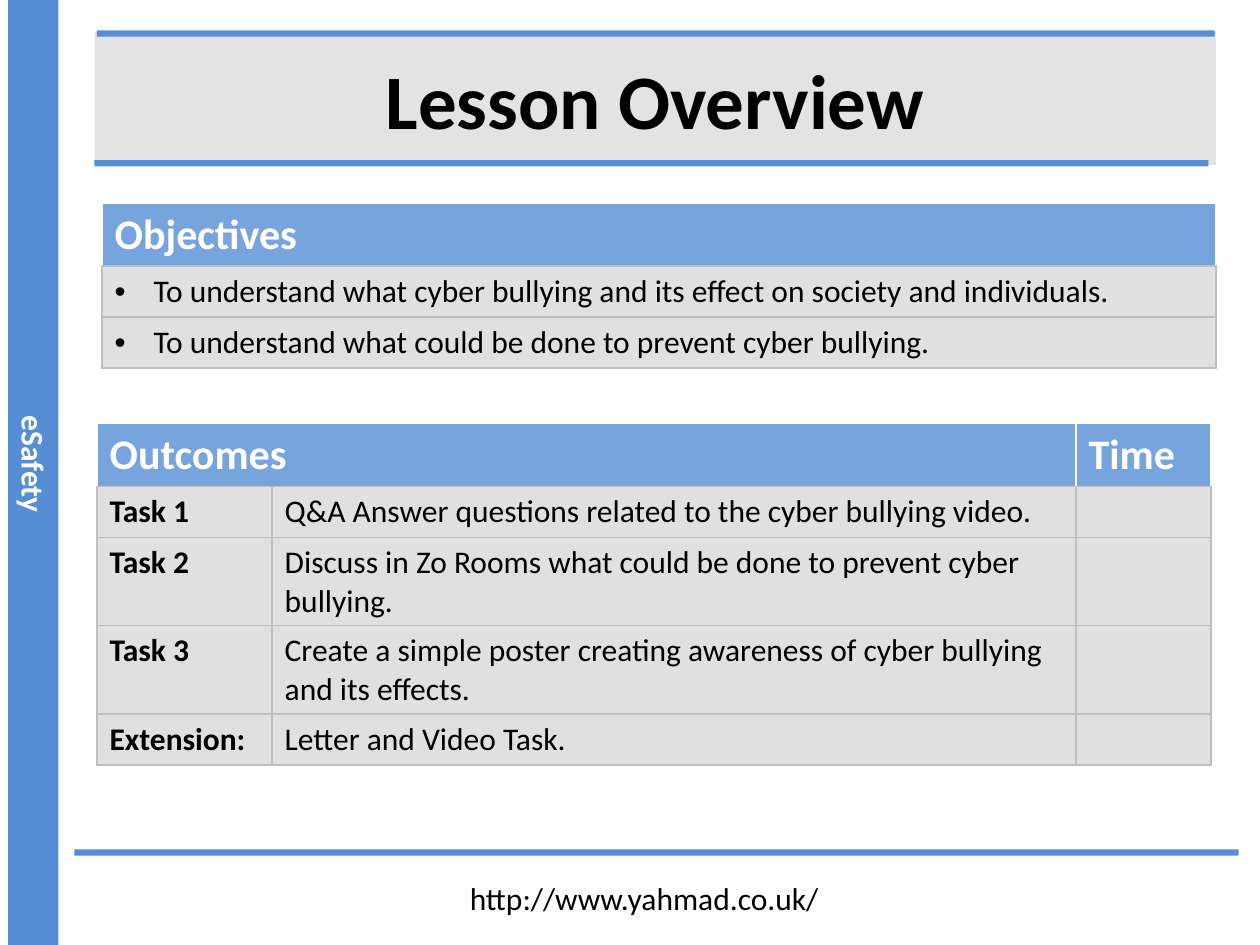
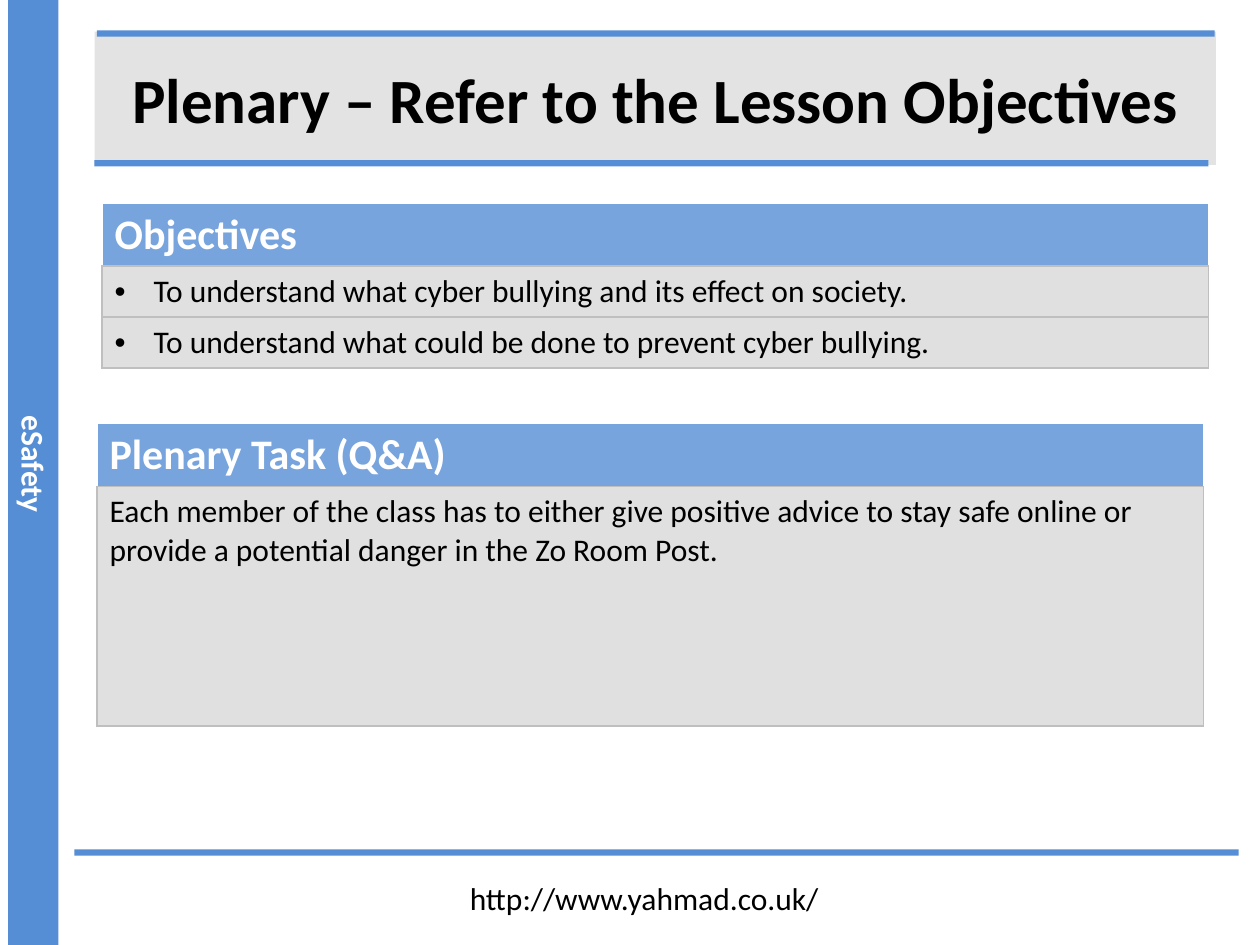
"""Build the two eSafety lesson slides: an overview and a plenary."""
from dataclasses import dataclass

from lxml.etree import SubElement
from pptx import Presentation
from pptx.dml.color import RGBColor
from pptx.enum.shapes import MSO_SHAPE
from pptx.enum.text import MSO_ANCHOR, MSO_AUTO_SIZE, PP_ALIGN
from pptx.oxml import parse_xml
from pptx.oxml.ns import nsdecls, qn
from pptx.util import Inches, Pt

WIDTH, HEIGHT = Inches(10), Inches(7.5)
COLS, ROWS = 100, 75


@dataclass(frozen=True)
class Theme:
    font: str = "Calibri"
    blue: str = "558ED5"
    grey: str = "D9D9D9"
    edge: str = "BFBFBF"
    white: str = "FFFFFF"
    black: str = "000000"
    head: int = 24
    body: int = 18
    solid: int = 80
    faint: int = 72


@dataclass(frozen=True)
class Box:
    left: float
    top: float
    width: float
    height: float

    def emu(self) -> tuple:
        return (across(self.left), down(self.top),
                across(self.width), down(self.height))


@dataclass(frozen=True)
class Grid:
    left: float
    top: float
    cols: tuple
    rows: tuple
    cells: tuple
    bullets: bool = False
    labels: bool = False


@dataclass(frozen=True)
class Page:
    title: str
    size: int
    grids: tuple


THEME = Theme()
HEAD, LINE, PAIR, TALL = 4.92, 4.05, 7, 19

SIDE = Box(0.65, 0, 4, 75)
RULES = (Box(7.5, 12.7, 88.4, 0.5), Box(7.7, 2.4, 88.7, 0.5),
         Box(5.9, 67.4, 92.4, 0.5))
TITLE = Box(7.5, 2.5, 89, 10.6)
TAG = Box(-2.2, 34.9, 9.8, 4)
LINK = Box(36.3, 69.3, 30.1, 4)


def across(cols: float) -> int:
    return round(WIDTH * cols / COLS)


def down(rows: float) -> int:
    return round(HEIGHT * rows / ROWS)


def goals(width: float, first: str) -> Grid:
    """Return the objectives table, whose first goal and width vary."""
    return Grid(8.1, 16.1, (width,), (HEAD, LINE, LINE),
                (("Objectives",), (first,),
                 ("To understand what could be done to prevent cyber bullying.",)),
                bullets=True)


PAGES = (
    Page("Lesson Overview", 44, (
        goals(88.4, "To understand what cyber bullying and its effect on "
                    "society and individuals."),
        Grid(7.7, 33.6, (13.9, 63.8, 10.7), (HEAD, LINE, PAIR, PAIR, LINE), (
            ("Outcomes", None, "Time"),
            ("Task 1", "Q&A Answer questions related to the cyber bullying video.", ""),
            ("Task 2", "Discuss in Zo Rooms what could be done to prevent "
                       "cyber bullying.", ""),
            ("Task 3", "Create a simple poster creating awareness of cyber "
                       "bullying and its effects.", ""),
            ("Extension:", "Letter and Video Task.", ""),
        ), labels=True),
    )),
    Page("Plenary – Refer to the Lesson Objectives", 36, (
        goals(87.8, "To understand what cyber bullying and its effect on society."),
        Grid(7.7, 33.6, (87.8,), (HEAD, TALL), (
            ("Plenary Task (Q&A)",),
            ("Each member of the class has to either give positive advice to "
             "stay safe online or provide a potential danger in the Zo Room Post.",),
        )),
    )),
)


def style(para, size: int, color: str, bold: bool = False) -> None:
    font = para.font
    font.name, font.size, font.bold = THEME.font, Pt(size), bold
    font.color.rgb = RGBColor.from_string(color)


def paint(fill, color: str, alpha: int) -> None:
    """Fill with a colour at the given percentage of opacity."""
    fill.solid()
    fill.fore_color.rgb = RGBColor.from_string(color)
    tint = fill._xPr.find(qn("a:solidFill")).find(qn("a:srgbClr"))
    SubElement(tint, qn("a:alpha"), val=str(alpha * 1000))


def bar(slide, box: Box) -> None:
    shape = slide.shapes.add_shape(MSO_SHAPE.RECTANGLE, *box.emu())
    shape.shadow.inherit = False
    shape.fill.solid()
    shape.fill.fore_color.rgb = RGBColor.from_string(THEME.blue)
    shape.line.fill.background()


def label(slide, box: Box, text: str, color: str,
          bold: bool = False, turn: int = 0) -> None:
    shape = slide.shapes.add_textbox(*box.emu())
    shape.rotation = turn
    frame = shape.text_frame
    frame.word_wrap = False
    frame.auto_size = MSO_AUTO_SIZE.SHAPE_TO_FIT_TEXT
    frame.text = text
    style(frame.paragraphs[0], THEME.body, color, bold)


def border(cell, head: bool) -> None:
    """Draw the four edges of a cell, white around a heading's top and sides."""
    props = cell._tc.get_or_add_tcPr()
    for spot, side in enumerate("LRTB"):
        color = THEME.white if head and side != "B" else THEME.edge
        props.insert(spot, parse_xml(
            f'<a:ln{side} {nsdecls("a")} w="12700"><a:solidFill>'
            f'<a:srgbClr val="{color}"/></a:solidFill></a:ln{side}>'))


def bullet(para) -> None:
    props = para._p.get_or_add_pPr()
    props.set("marL", str(Inches(0.31)))
    props.set("indent", str(-Inches(0.31)))
    SubElement(props, qn("a:buFont"), typeface="Arial")
    SubElement(props, qn("a:buChar"), char="•")


def table(slide, grid: Grid) -> None:
    """Draw a table with a blue heading row and grey body rows."""
    box = Box(grid.left, grid.top, sum(grid.cols), sum(grid.rows))
    made = slide.shapes.add_table(len(grid.rows), len(grid.cols), *box.emu()).table
    made.first_row = made.horz_banding = False
    for col, width in zip(made.columns, grid.cols):
        col.width = across(width)
    for row, height in zip(made.rows, grid.rows):
        row.height = down(height)
    for r, words in enumerate(grid.cells):
        head = r == 0
        for c, text in enumerate(words):
            cell = made.cell(r, c)
            paint(cell.fill, THEME.blue if head else THEME.grey, THEME.solid)
            border(cell, head)
            if text is None:
                made.cell(r, c - 1).merge(cell)
                continue
            cell.text = text
            para = cell.text_frame.paragraphs[0]
            if grid.bullets and not head:
                bullet(para)
            style(para, THEME.head if head else THEME.body,
                  THEME.white if head else THEME.black,
                  head or (grid.labels and c == 0))


def heading(slide, page: Page) -> None:
    shape = slide.shapes.title
    shape.left, shape.top, shape.width, shape.height = TITLE.emu()
    paint(shape.fill, THEME.grey, THEME.faint)
    frame = shape.text_frame
    frame.text = page.title
    frame.word_wrap = True
    frame.auto_size = MSO_AUTO_SIZE.NONE
    frame.vertical_anchor = MSO_ANCHOR.MIDDLE
    para = frame.paragraphs[0]
    para.alignment = PP_ALIGN.CENTER
    style(para, page.size, THEME.black, True)


def build(deck, page: Page) -> None:
    """Add one slide with the shared frame, its title and its tables."""
    slide = deck.slides.add_slide(deck.slide_layouts.get_by_name("Title Only"))
    heading(slide, page)
    for box in (SIDE, *RULES):
        bar(slide, box)
    label(slide, TAG, "eSafety", THEME.white, bold=True, turn=90)
    label(slide, LINK, "http://www.yahmad.co.uk/", THEME.black)
    for grid in page.grids:
        table(slide, grid)


def main() -> None:
    deck = Presentation()
    deck.slide_width, deck.slide_height = WIDTH, HEIGHT
    for page in PAGES:
        build(deck, page)
    deck.save("out.pptx")


if __name__ == "__main__":
    main()
